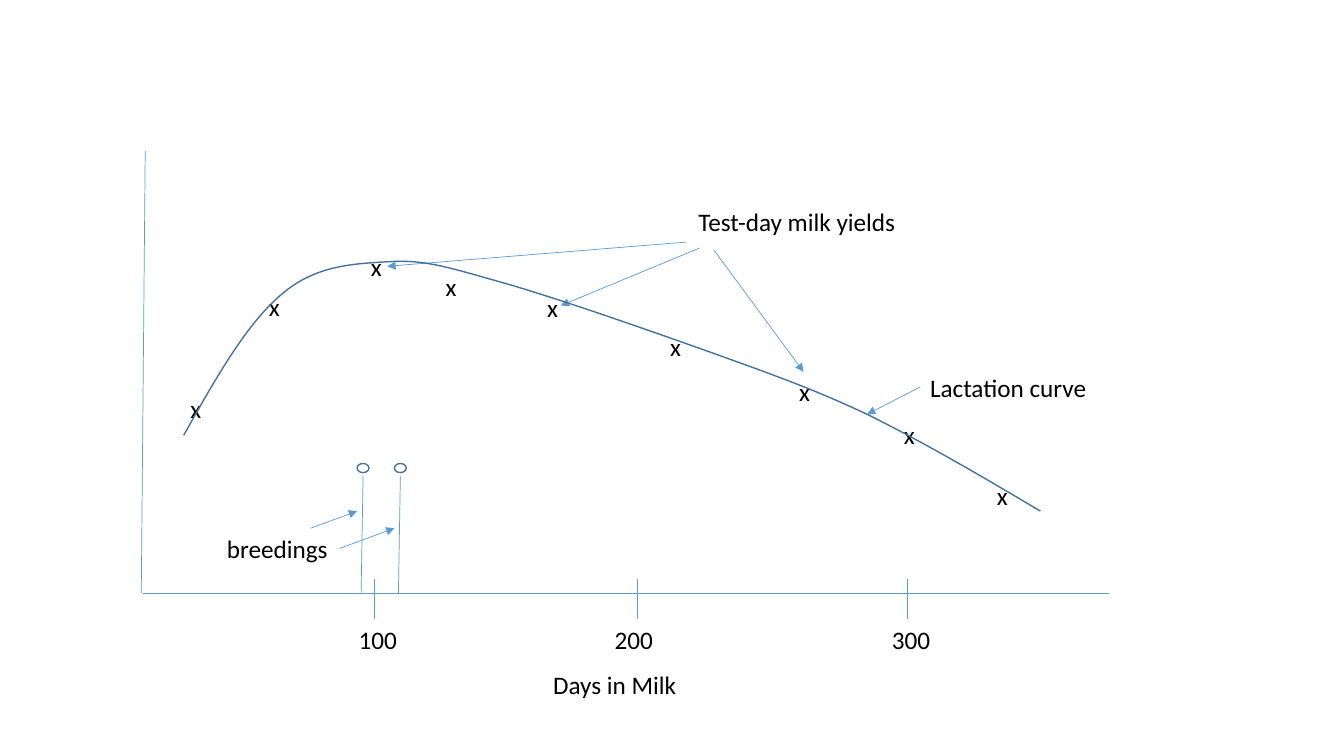
from dataclasses import dataclass

from lxml import etree
from pptx import Presentation
from pptx import util as u
from pptx.dml.color import RGBColor
from pptx.enum import shapes, text
from pptx.oxml.ns import qn


@dataclass(frozen=True)
class Theme:
    font: str = "Calibri"
    size: u.Pt = u.Pt(18)
    ink: RGBColor = RGBColor(0, 0, 0)
    paper: RGBColor = RGBColor(255, 255, 255)
    line: RGBColor = RGBColor(0x5B, 0x9B, 0xD5)
    outline: RGBColor = RGBColor(0x43, 0x73, 0x9E)
    thin: u.Pt = u.Pt(0.5)
    thick: u.Pt = u.Pt(1)


T = Theme()
TEXT_H = 1.02
AXIS_Y = 11.15  # height of the horizontal axis below the top of the plot

# Every position below is in cm from the top left corner of the plot
TICKS = [("100", 5.87, 5.23), ("200", 12.5, 11.68), ("300", 19.3, 18.67)]
TEST_DAYS = [(0.99, 5.97), (2.97, 3.4), (5.54, 2.39), (7.42, 2.9), (9.98, 3.43),
             (13.08, 4.42), (16.33, 5.56), (18.97, 6.63), (21.31, 8.18)]
# Start point, then two control points and an end point per segment
CURVE = [(1.07, 7.16),
         (1.85, 5.77), (2.64, 4.37), (3.51, 3.63),
         (4.34, 2.9), (5.26, 2.84), (6.17, 2.79),
         (7.09, 2.72), (7.65, 2.9), (8.99, 3.28),
         (10.36, 3.66), (12.75, 4.5), (14.3, 5.05),
         (15.85, 5.61), (16.89, 5.97), (18.29, 6.63),
         (19.69, 7.32), (21.16, 8.18), (22.66, 9.07)]


def at(box, x, y):
    return box[0] + u.Cm(x), box[1] + u.Cm(y)


def add_line(s, box, start, end, arrow=False):
    c = s.shapes.add_connector(shapes.MSO_CONNECTOR.STRAIGHT, *at(box, *start), *at(box, *end))
    c.line.color.rgb = T.line
    c.line.width = T.thin
    if arrow:
        etree.SubElement(c.line._get_or_add_ln(), qn("a:tailEnd"), type="triangle")
    etree.SubElement(c._element.spPr, qn("a:effectLst"))


def add_label(s, box, words, x, y, width, wrap=False):
    tf = s.shapes.add_textbox(*at(box, x, y), u.Cm(width), u.Cm(TEXT_H)).text_frame
    tf.word_wrap = wrap
    tf.auto_size = text.MSO_AUTO_SIZE.SHAPE_TO_FIT_TEXT
    p = tf.paragraphs[0]
    p.text = words
    p.font.name, p.font.size, p.font.color.rgb = T.font, T.size, T.ink


def style_outline(sp):
    sp.shadow.inherit = False
    sp.line.color.rgb = T.outline
    sp.line.width = T.thick


def add_axes(s, box):
    add_line(s, box, (0.1, 0), (0, AXIS_Y))
    add_line(s, box, (0.05, AXIS_Y), (24.38, AXIS_Y))
    for days, x, label_x in TICKS:
        add_line(s, box, (x, 10.77), (x, 11.79))
        add_label(s, box, days, label_x, 11.79, 1.75, wrap=True)
    add_label(s, box, "Days in Milk", 10.13, 12.93, 3.66)


def add_breedings(s, box):
    # Two pins standing on the axis
    for x in (5.44, 6.38):
        add_line(s, box, (x + 0.15, 8.18), (x + 0.1, AXIS_Y))
        sp = s.shapes.add_shape(shapes.MSO_SHAPE.OVAL, *at(box, x, 7.87), u.Cm(0.3), u.Cm(0.23))
        sp.fill.solid()
        sp.fill.fore_color.rgb = T.paper
        style_outline(sp)
    add_label(s, box, "breedings", 1.91, 9.5, 3.07)
    add_line(s, box, (4.27, 9.5), (5.44, 9.07), arrow=True)
    add_line(s, box, (5, 10.01), (6.38, 9.5), arrow=True)


def add_test_days(s, box):
    for x, y in TEST_DAYS:
        add_label(s, box, "x", x, y, 0.66, wrap=True)
    add_label(s, box, "Test-day milk yields", 13.79, 1.27, 5.54)
    for start, end in [((13.74, 2.29), (6.2, 2.9)),
                       ((14.07, 2.44), (10.57, 3.89)),
                       ((14.43, 2.49), (16.69, 5.56))]:
        add_line(s, box, start, end, arrow=True)


def add_lactation_curve(s, box):
    points = [at(box, x, y) for x, y in CURVE]
    builder = s.shapes.build_freeform(*points[0])
    builder.add_line_segments(points[1:], close=False)
    sp = builder.convert_to_shape()
    sp.fill.background()
    style_outline(sp)
    # Turn each three straight steps into one Bezier segment
    steps = list(sp._element.iter(qn("a:lnTo")))
    for i in range(0, len(steps), 3):
        bezier = etree.Element(qn("a:cubicBezTo"))
        steps[i].addprevious(bezier)
        for step in steps[i:i + 3]:
            bezier.append(step[0])
            step.getparent().remove(step)
    add_label(s, box, "Lactation curve", 19.63, 5.44, 4.5)
    add_line(s, box, (19.63, 5.94), (18.29, 6.63), arrow=True)


def lactation_slide(prs):
    s = prs.slides.add_slide(prs.slide_layouts[6])
    plot = (u.Cm(3.56), u.Cm(3.81))
    for add_part in (add_axes, add_breedings, add_test_days, add_lactation_curve):
        add_part(s, plot)


prs = Presentation()
prs.slide_width, prs.slide_height = u.Cm(33.87), u.Cm(19.05)
lactation_slide(prs)
prs.save("out.pptx")
